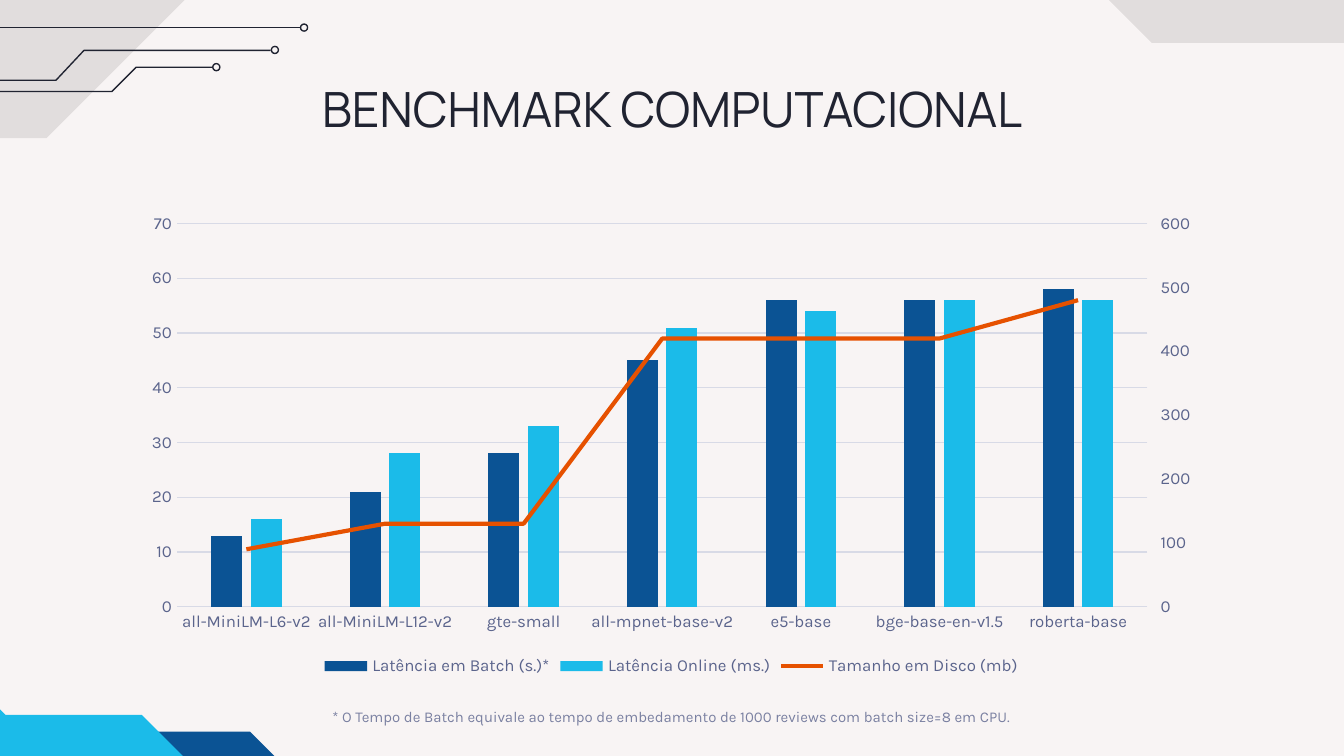
from copy import deepcopy
from lxml import etree
from pptx import Presentation
from pptx.chart import data
from pptx.dml.color import RGBColor
from pptx.enum import chart as ch, shapes, text
from pptx.oxml import parse_xml
from pptx.oxml.ns import nsdecls, qn
from pptx.util import Pt

INK, NAVY, CYAN, ORANGE = "202331", "0B5394", "1BBBE9", "E65100"
LABEL, GRID = "5B648C", "D8DAE6"


def rgb(value):
    return RGBColor.from_string(value)


def outline(points, close):
    fb = s.shapes.build_freeform(*points[0], scale=Pt(1))
    fb.add_line_segments(points[1:], close=close)
    sp = fb.convert_to_shape()
    sp.shadow.inherit = False
    if close:
        sp.fill.solid()
        sp.line.fill.background()
    else:
        sp.fill.background()
        sp.line.color.rgb = rgb(INK)
        sp.line.width = Pt(0.75)
    return sp


prs = Presentation()
prs.slide_width, prs.slide_height = Pt(720), Pt(405)
s = prs.slides.add_slide(prs.slide_layouts[6])
s.background.fill.solid()
s.background.fill.fore_color.rgb = rgb("F8F4F4")

corner = [(-107.3, 74), (-107.3, -71), (169.9, -71), (25.2, 74)]
for points in (corner, [(642.4 - x, y - 51.2) for x, y in corner]):
    sp = outline(points, True)
    sp.fill.fore_color.rgb = rgb("000000")
    color = sp.element.spPr.find(qn("a:solidFill"))[0]
    etree.SubElement(color, qn("a:alpha"), val="9000")

traces = [
    [(-77.8, 42.8), (29.5, 42.8), (45.4, 26.8), (145.4, 26.8)],
    [(-73.4, 48.8), (60.3, 48.8), (73, 36), (114, 36)],
    [(-72.7, 14.8), (161, 14.8)],
]
for points in traces:
    if len(points) > 2:
        outline(points, False)
    else:
        (x1, y1), (x2, y2) = points
        cx = s.shapes.add_connector(
            shapes.MSO_CONNECTOR.STRAIGHT, Pt(x1), Pt(y1), Pt(x2), Pt(y2))
        cx.line.color.rgb = rgb(INK)
        cx.line.width = Pt(0.75)
        etree.SubElement(cx.element.spPr, qn("a:effectLst"))
    x, y = points[-1]
    dot = s.shapes.add_shape(
        shapes.MSO_SHAPE.OVAL, Pt(x), Pt(y - 1.9), Pt(3.8), Pt(3.8))
    dot.shadow.inherit = False
    dot.fill.background()
    dot.line.color.rgb = rgb(INK)
    dot.line.width = Pt(0.75)

bands = [
    (NAVY, [(56.2, 391.7), (73.4, 409), (151.2, 409), (133.9, 391.7)]),
    (CYAN, [(-189.4, 347), (-189.4, 511.2), (164.9, 511.2), (164.9, 455),
            (147.6, 455), (75.6, 383), (2.9, 383), (-33.1, 347)]),
]
for color, points in bands:
    outline(points, True).fill.fore_color.rgb = rgb(color)

texts = [
    ("BENCHMARK COMPUTACIONAL", (56.9, 35.3, 607, 45.4), 7.2, "Manrope", 26, INK),
    ("* O Tempo de Batch equivale ao tempo de embedamento de 1000 reviews "
     "com batch size=8 em CPU.", (100.8, 375.1, 518.4, 17.3), 3.6, "Karla", 8, "7A80A1"),
]
for words, box, inset, font, size, color in texts:
    tf = s.shapes.add_textbox(*map(Pt, box)).text_frame
    tf.word_wrap = True
    tf.margin_top = tf.margin_bottom = Pt(inset)
    tf.vertical_anchor = text.MSO_ANCHOR.MIDDLE
    p = tf.paragraphs[0]
    p.text = words
    p.alignment = text.PP_ALIGN.CENTER
    p.font.name, p.font.size, p.font.color.rgb = font, Pt(size), rgb(color)

cd = data.CategoryChartData()
cd.categories = ["all-MiniLM-L6-v2", "all-MiniLM-L12-v2", "gte-small",
                 "all-mpnet-base-v2", "e5-base", "bge-base-en-v1.5", "roberta-base"]
cd.add_series("Latência em Batch (s.)*", [13, 21, 28, 45, 56, 56, 58])
cd.add_series("Latência Online (ms.)", [16, 28, 33, 51, 54, 56, 56])
cd.add_series("Tamanho em Disco (mb)", [90, 130, 130, 420, 420, 420, 480])
chart = s.shapes.add_chart(
    ch.XL_CHART_TYPE.COLUMN_CLUSTERED, Pt(69.8), Pt(109.4), Pt(579.6), Pt(255.6), cd).chart
chart.has_title = False
chart.font.name, chart.font.size, chart.font.color.rgb = "Karla", Pt(10), rgb(INK)
chart.has_legend = True
chart.legend.position = ch.XL_LEGEND_POSITION.BOTTOM
chart.legend.include_in_layout = False

cat, val = chart.category_axis, chart.value_axis
for font in (chart.legend.font, cat.tick_labels.font, val.tick_labels.font):
    font.name, font.size, font.color.rgb = "Karla", Pt(9), rgb(LABEL)
cat.major_tick_mark = val.major_tick_mark = ch.XL_TICK_MARK.NONE
val.minimum_scale, val.maximum_scale, val.major_unit = 0, 70, 10
val.format.line.fill.background()
for line in (cat.format.line, val.major_gridlines.format.line):
    line.color.rgb = rgb(GRID)
    line.width = Pt(0.75)

plot = chart.plots[0]
plot.gap_width, plot.overlap, plot.vary_by_categories = 219, -27, False
batch, online, disk = plot.series
for series, color in ((batch, NAVY), (online, CYAN)):
    series.format.fill.solid()
    series.format.fill.fore_color.rgb = rgb(color)
disk.format.line.color.rgb = rgb(ORANGE)
disk.format.line.width = Pt(2.25)

bars = chart.element.xpath(".//c:barChart")[0]
ser = bars.findall(qn("c:ser"))[2]
for invert in ser.findall(qn("c:invertIfNegative")):
    ser.remove(invert)
ser.find(qn("c:spPr")).addnext(parse_xml(
    f'<c:marker {nsdecls("c")}><c:symbol val="none"/></c:marker>'))
etree.SubElement(ser, qn("c:smooth"), val="0")
lines = parse_xml(
    f'<c:lineChart {nsdecls("c")}><c:grouping val="standard"/><c:varyColors val="0"/>'
    '<c:marker val="1"/><c:axId val="5001"/><c:axId val="5002"/></c:lineChart>')
lines.insert(2, ser)
bars.addnext(lines)

left = chart.element.xpath(".//c:valAx")[0]
right = deepcopy(left)
right.remove(right.find(qn("c:majorGridlines")))
crosses = right.find(qn("c:crosses"))
if crosses is None:
    crosses = parse_xml(f'<c:crosses {nsdecls("c")} val="max"/>')
    right.find(qn("c:crossAx")).addnext(crosses)
for tag, value in (("axId", "5002"), ("axPos", "r"), ("crossAx", "5001"),
                   ("crosses", "max"), ("majorUnit", "100")):
    right.find(qn("c:" + tag)).set("val", value)
for tick in right.findall(qn("c:majorTickMark")):
    tick.set("val", "out")
right.find(qn("c:scaling")).find(qn("c:max")).set("val", "600")
left.addnext(right)
right.addnext(parse_xml(
    f'<c:catAx {nsdecls("c")}><c:axId val="5001"/>'
    '<c:scaling><c:orientation val="minMax"/></c:scaling><c:delete val="1"/>'
    '<c:axPos val="b"/><c:crossAx val="5002"/><c:crosses val="autoZero"/></c:catAx>'))

prs.save("out.pptx")
